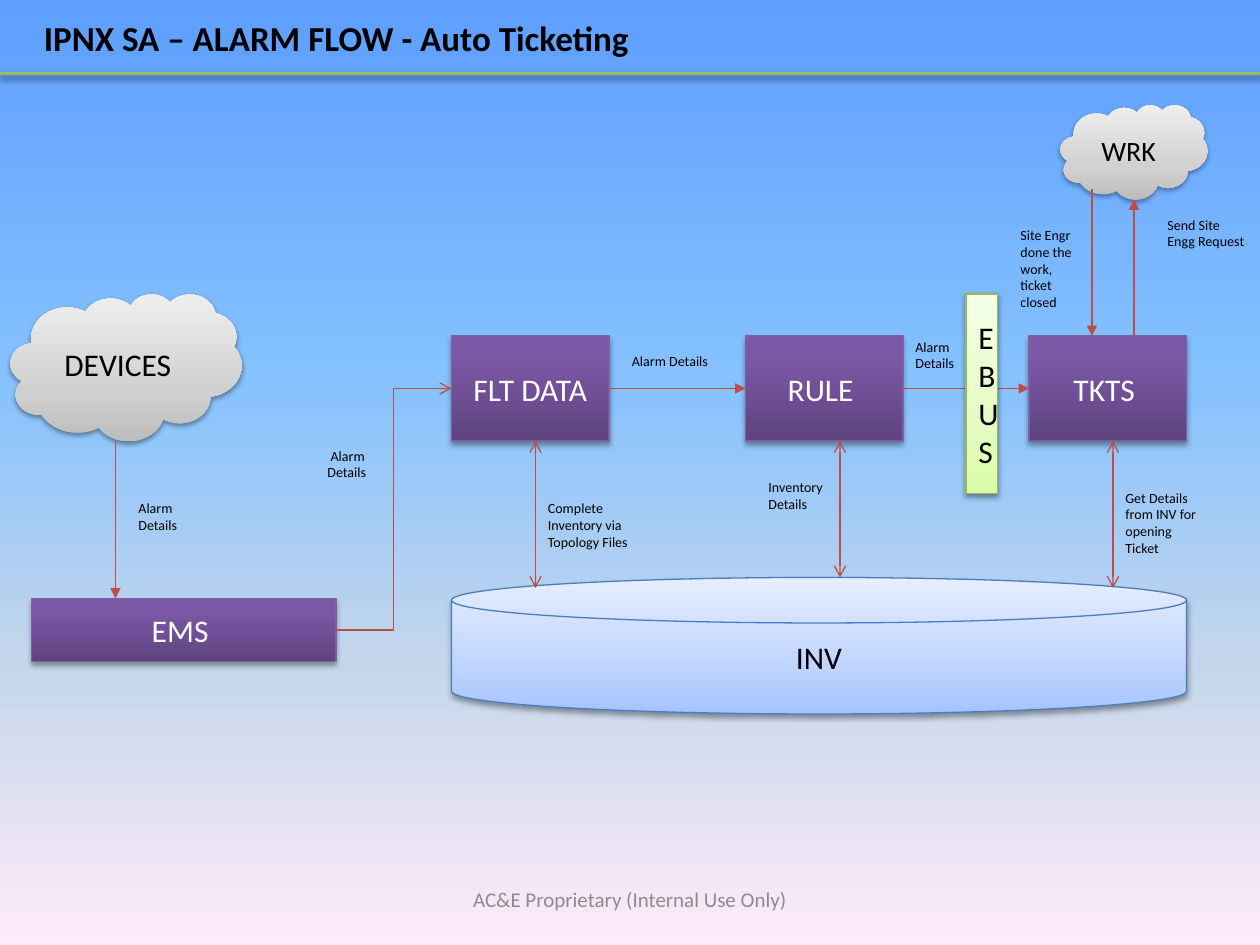
"""Build the alarm flow diagram slide on a grid of twelve units to the inch."""
import pptx
import pptx.dml.color
import pptx.enum.shapes
import pptx.enum.text
import pptx.oxml
import pptx.oxml.ns
import pptx.util

SHAPE = pptx.enum.shapes.MSO_SHAPE
LINK = pptx.enum.shapes.MSO_CONNECTOR
ALIGN = pptx.enum.text.PP_ALIGN
ANCHOR = pptx.enum.text.MSO_ANCHOR

COLORS = {"black": "000000", "white": "FFFFFF", "footer": "8C8C8C", "rule": "9BBB59",
          "arrow": "BF4C48", "purple": "7D60A0", "blue": "4B7EBC", "green": "98B955"}
BACKGROUND = [(0, "5E9EFF"), (40, "85C2FF"), (70, "C4D6EB"), (100, "FFEBFA")]
SOFT, STRONG = (38, 1.6), (35, 1.8)
STYLES = {
    "system": (SHAPE.RECTANGLE, [(0, "5F4480"), (80, "7B58A6"), (100, "7C57A8")],
               "purple", "white", STRONG),
    "cloud": (SHAPE.CLOUD, [(0, "BDBDBD"), (35, "D1D1D1"), (100, "EEEEEE")],
              None, "black", SOFT),
    "store": (SHAPE.FLOWCHART_MAGNETIC_DISK,
              [(0, "A4C4FF"), (35, "BFD4FF"), (100, "E6EEFF")], "blue", "black", SOFT),
    "bus": (SHAPE.RECTANGLE, [(0, "DAFDA7"), (35, "E4FCC2"), (100, "F5FFE7")],
            "green", "black", SOFT),
}
NODES = [
    ("system", (98, 32, 15, 10), ["TKTS "], 18),
    ("system", (43, 32, 15, 10), ["FLT DATA"], 18),
    ("system", (71, 32, 15, 10), ["RULE "], 18),
    ("system", (3, 57, 29, 6), ["EMS "], 18),
    ("cloud", (1, 28, 22, 14), ["DEVICES"], 18),
    ("cloud", (101, 10, 14, 9), ["WRK"], 16),
    ("store", (43, 55, 70, 13), ["INV"], 18),
]
BUS = ("bus", (92, 28, 3, 19), ["E", "B", "U", "S"], 18)
ARROWS = [
    (LINK.STRAIGHT, (11, 42, 11, 57), None, "triangle"),
    (LINK.STRAIGHT, (86, 37, 98, 37), None, "triangle"),
    (LINK.STRAIGHT, (58, 37, 71, 37), None, "triangle"),
    (LINK.STRAIGHT, (108, 32, 108, 19), None, "triangle"),
    (LINK.STRAIGHT, (104, 18, 104, 32), None, "triangle"),
    (LINK.STRAIGHT, (51, 42, 51, 56), "arrow", "arrow"),
    (LINK.STRAIGHT, (80, 42, 80, 55), "arrow", "arrow"),
    (LINK.STRAIGHT, (106, 42, 106, 56), "arrow", "arrow"),
    (LINK.ELBOW, (32, 60, 43, 37), None, "arrow"),
]
LABELS = [
    ((12, 47, 10, 4.4), ["Alarm", "Details"]),
    ((30, 42, 10, 4.4), [" Alarm ", "Details"]),
    ((51, 47, 10, 7.7), ["Complete Inventory via", "Topology Files"]),
    ((59, 33, 10, 2.9), ["Alarm Details"]),
    ((72, 45, 10, 4.4), ["Inventory Details"]),
    ((86, 31.6, 10, 4.4), ["Alarm ", "Details"]),
    ((106, 46, 10, 7.7), ["Get Details from INV for opening Ticket"]),
    ((110, 20, 10, 4.4), ["Send Site Engg Request"]),
    ((96, 21, 8, 9.2), ["Site Engr done the work, ticket closed"]),
]


def units(values):
    return [pptx.util.Inches(v / 12) for v in values]


def rgb(name):
    return pptx.dml.color.RGBColor.from_string(COLORS[name])


def add_xml(parent, tag, **attrs):
    child = pptx.oxml.parse_xml(f"<a:{tag} {pptx.oxml.ns.nsdecls('a')}/>")
    for key, value in attrs.items():
        child.set(key, str(value))
    parent.append(child)
    return child


def set_gradient(fill, owner, stops, angle):
    fill.gradient()
    grad = owner.xpath(".//a:gradFill")[0]
    for child in list(grad):
        grad.remove(child)
    stop_list = add_xml(grad, "gsLst")
    for position, color in stops:
        add_xml(add_xml(stop_list, "gs", pos=position * 1000), "srgbClr", val=color)
    add_xml(grad, "lin", ang=angle * 60000, scaled=0)


def add_shadow(effects, opacity, distance):
    shadow = add_xml(effects, "outerShdw", blurRad=pptx.util.Pt(3.1),
                     dist=pptx.util.Pt(distance), dir=90 * 60000, rotWithShape=0)
    color = add_xml(shadow, "srgbClr", val=COLORS["black"])
    add_xml(color, "alpha", val=opacity * 1000)


def write(sp, lines, size, color, align=ALIGN.LEFT, anchor=ANCHOR.TOP, bold=False):
    tf = sp.text_frame
    tf.word_wrap = True
    tf.vertical_anchor = anchor
    for i, line in enumerate(lines):
        p = tf.add_paragraph() if i else tf.paragraphs[0]
        p.alignment = align
        r = p.add_run()
        r.text = line
        r.font.name, r.font.size, r.font.bold = "Calibri", pptx.util.Pt(size), bold
        r.font.color.rgb = rgb(color)


def add_text(s, box, lines, size, color="black", **options):
    write(s.shapes.add_textbox(*units(box)), lines, size, color, **options)


def add_node(s, style, box, lines, size):
    preset, stops, outline, ink, shadow = STYLES[style]
    sp = s.shapes.add_shape(preset, *units(box))
    set_gradient(sp.fill, sp._element, stops, 270)
    if outline:
        sp.line.color.rgb = rgb(outline)
        sp.line.width = pptx.util.Pt(0.75)
    else:
        sp.line.fill.background()
    sp.shadow.inherit = False
    add_shadow(sp._element.xpath("./p:spPr/a:effectLst")[0], *shadow)
    write(sp, lines, size, ink, ALIGN.CENTER, ANCHOR.MIDDLE)


def add_line(s, kind, ends, color, width, head=None, tail=None, shadow=None):
    line = s.shapes.add_connector(kind, *units(ends))
    line.line.color.rgb = rgb(color)
    line.line.width = pptx.util.Pt(width)
    ln = line._element.xpath("./p:spPr/a:ln")[0]
    for tag, end in (("headEnd", head), ("tailEnd", tail)):
        if end:
            add_xml(ln, tag, type=end)
    effects = add_xml(line._element.spPr, "effectLst")
    if shadow:
        add_shadow(effects, *shadow)


prs = pptx.Presentation()
prs.slide_width, prs.slide_height = units((120, 90))
s = prs.slides.add_slide(prs.slide_layouts[6])
set_gradient(s.background.fill, s._element, BACKGROUND, 90)

add_text(s, (6, 83.2, 108, 4.8), ["AC&E Proprietary (Internal Use Only)"], 12, "footer",
         align=ALIGN.CENTER, anchor=ANCHOR.MIDDLE)
add_text(s, (3, 1, 89, 5.2), ["IPNX SA – ALARM FLOW - Auto Ticketing "], 20, bold=True)
add_line(s, LINK.STRAIGHT, (0, 7, 120, 7), "rule", 2, shadow=SOFT)
for node in NODES:
    add_node(s, *node)
for kind, ends, head, tail in ARROWS:
    add_line(s, kind, ends, "arrow", 0.75, head, tail)
add_node(s, *BUS)
for box, lines in LABELS:
    add_text(s, box, lines, 8)

prs.save("out.pptx")
